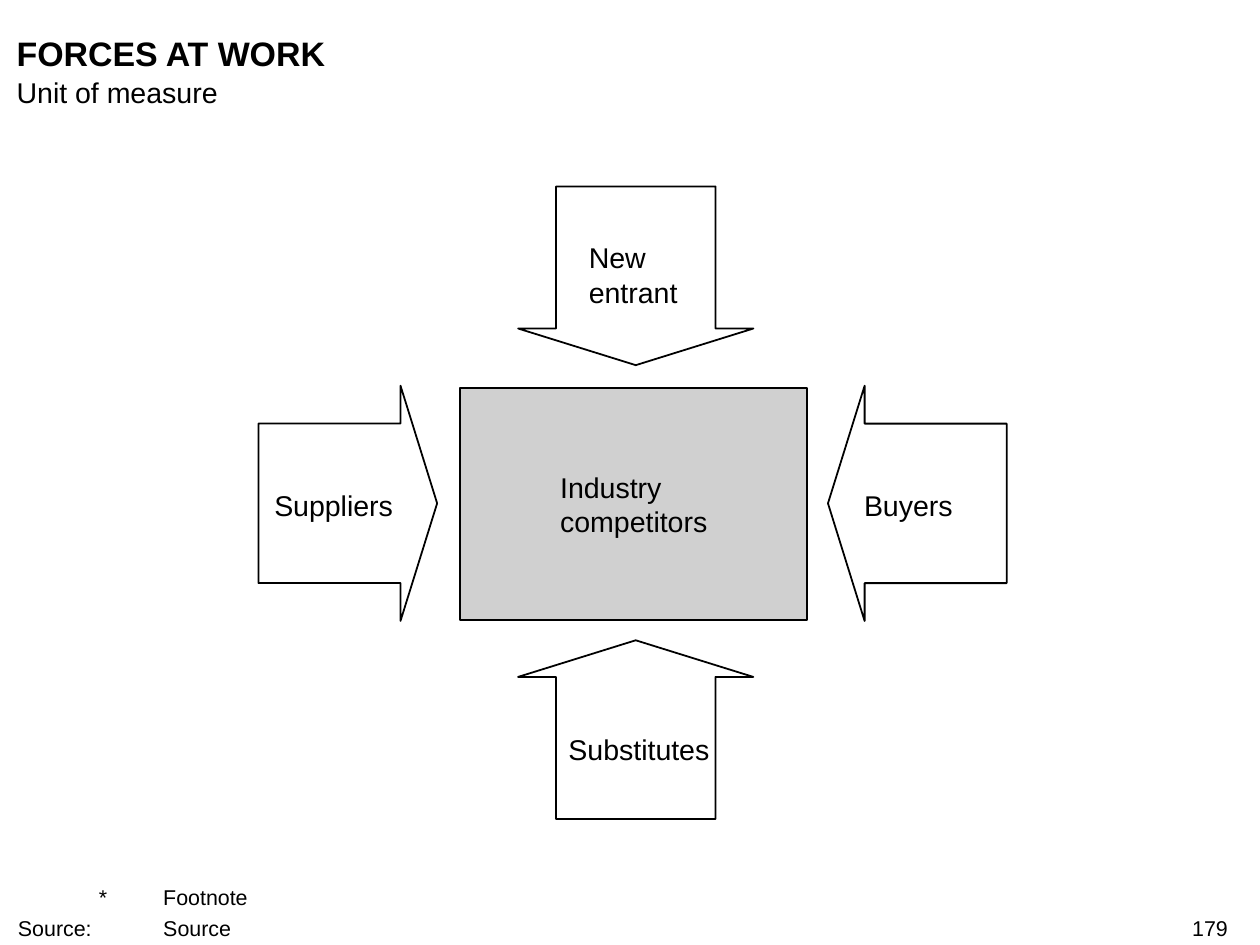
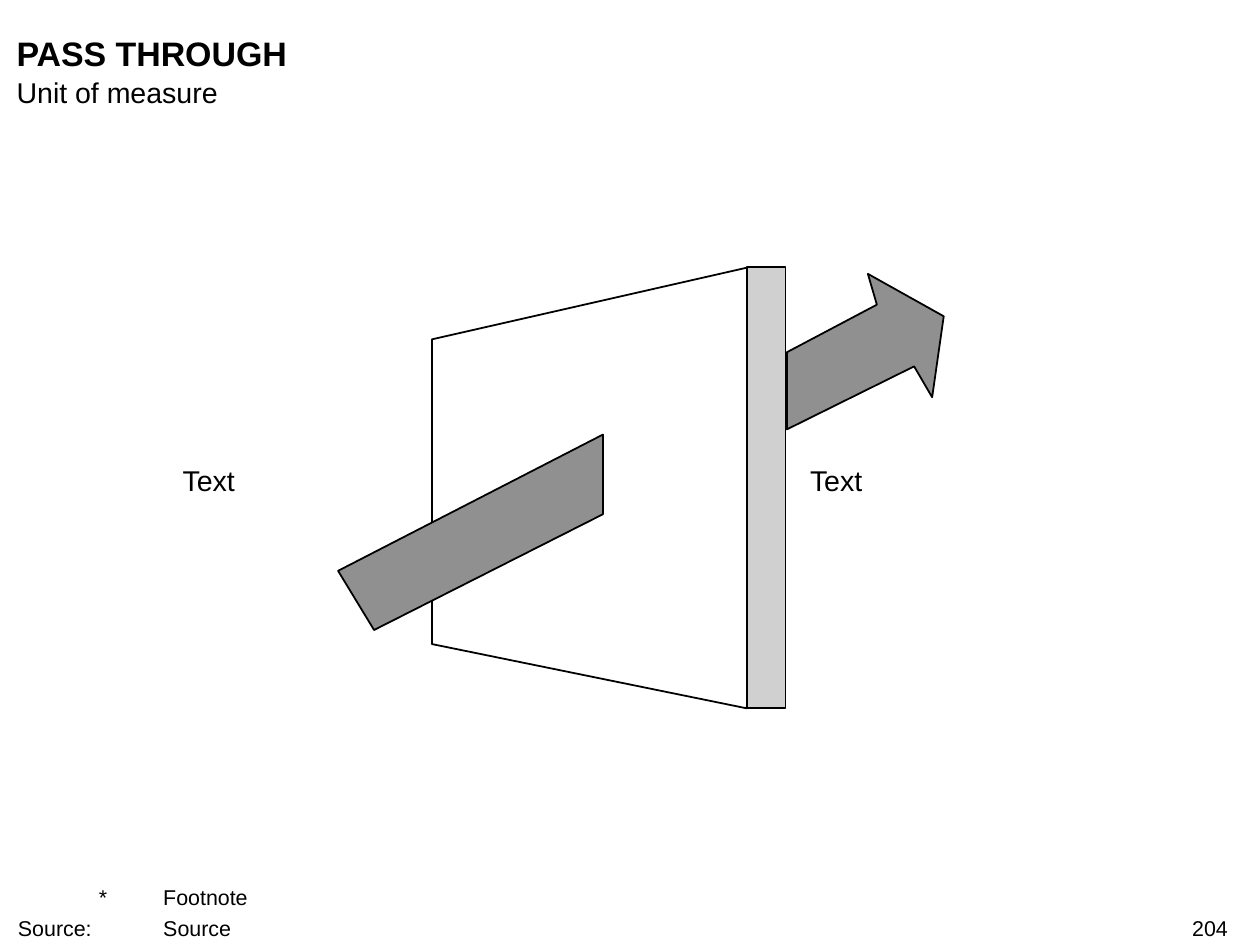
import pptx
import pptx.util
import pptx.dml.color
import pptx.enum.shapes
import pptx.enum.text
import pptx.oxml.ns
import lxml.etree

Inches = pptx.util.Inches
Pt = pptx.util.Pt
RGBColor = pptx.dml.color.RGBColor
Shape = pptx.enum.shapes.MSO_SHAPE
Anchor = pptx.enum.text.MSO_ANCHOR
Align = pptx.enum.text.PP_ALIGN
qn = pptx.oxml.ns.qn

BLACK = RGBColor(0x00, 0x00, 0x00)
WHITE = RGBColor(0xFF, 0xFF, 0xFF)
LIGHT = RGBColor(0xD0, 0xD0, 0xD0)
DARK = RGBColor(0x90, 0x90, 0x90)


class Deck:
    font = "Arial"
    body = 16
    small = 12

    def __init__(self):
        self.file = pptx.Presentation()
        self.file.slide_width = Inches(9.8)
        self.file.slide_height = Inches(7.35)
        self.slide = None

    def page(self, title, number):
        self.slide = self.file.slides.add_slide(self.file.slide_layouts[6])
        self.text(title, 0.13, 0.25, 9.43, 0.32, size=19, bold=True)
        self.text("Unit of measure", 0.13, 0.58, 9.43, 0.27)
        self.notes()
        self.text(number, 7.51, 7.12, 2.04, 0.2, size=self.small, align=Align.RIGHT)

    def notes(self):
        box = self.text("\t*\tFootnote\nSource:\t\tSource", 0.14, 6.88, 8.93, 0.44,
                        size=self.small, anchor=Anchor.BOTTOM)
        lines = box.text_frame.paragraphs
        lines[1].space_before = Pt(3)
        for line in lines:
            props = line._p.get_or_add_pPr()
            props.set("marL", str(Inches(0.63)))
            props.set("indent", str(Inches(-0.63)))
            tabs = lxml.etree.Element(qn("a:tabLst"))
            for place, side in ((0, "l"), (0.58, "r"), (0.98, "l"), (1.96, "l")):
                lxml.etree.SubElement(tabs, qn("a:tab"), pos=str(Inches(place)), algn=side)
            props.find(qn("a:defRPr")).addprevious(tabs)

    def words(self, shape, words, size, bold=False, align=Align.LEFT):
        shape.text_frame.word_wrap = True
        shape.text_frame.text = words
        for line in shape.text_frame.paragraphs:
            line.alignment = align
            line.font.name = self.font
            line.font.size = Pt(size)
            line.font.bold = bold
            line.font.color.rgb = BLACK

    def text(self, words, left, top, width, height, size=body, bold=False,
             align=Align.LEFT, anchor=Anchor.TOP):
        box = self.slide.shapes.add_textbox(*map(Inches, (left, top, width, height)))
        frame = box.text_frame
        frame.margin_left = frame.margin_right = frame.margin_top = frame.margin_bottom = 0
        frame.vertical_anchor = anchor
        self.words(box, words, size, bold, align)
        return box

    def centre(self, shape):
        shape.text_frame.vertical_anchor = Anchor.MIDDLE
        shape.text_frame._txBody.find(qn("a:bodyPr")).set("anchorCtr", "1")

    def label(self, words, left, top, width, height):
        self.centre(self.text(words, left, top, width, height))

    def paint(self, shape, fill):
        shape.shadow.inherit = False
        shape.fill.solid()
        shape.fill.fore_color.rgb = fill
        shape.line.color.rgb = BLACK
        shape.line.width = Pt(1)

    def rect(self, left, top, width, height, fill, words=""):
        box = self.slide.shapes.add_shape(
            Shape.RECTANGLE, *map(Inches, (left, top, width, height)))
        self.paint(box, fill)
        if words:
            self.words(box, words, self.body)
            self.centre(box)

    def arrow(self, left, top, turn):
        arrow = self.slide.shapes.add_shape(
            Shape.RIGHT_ARROW, *map(Inches, (left, top, 1.39, 1.83)))
        arrow.adjustments[0] = 0.678
        arrow.adjustments[1] = 0.205
        arrow.rotation = turn
        self.paint(arrow, WHITE)

    def outline(self, points, fill):
        first, *rest = [(Inches(x), Inches(y)) for x, y in points]
        pen = self.slide.shapes.build_freeform(*first, scale=1.0)
        pen.add_line_segments(rest, close=True)
        self.paint(pen.convert_to_shape(), fill)


def forces(deck):
    deck.page("FORCES AT WORK", "179")
    for left, top, turn in ((6.44, 3, 180), (2.01, 3, 0), (4.25, 1.23, 90), (4.25, 4.76, 270)):
        deck.arrow(left, top, turn)
    deck.rect(3.58, 3.02, 2.7, 1.8, LIGHT, "Industry\ncompetitors")
    deck.label("New entrant", 4.44, 1.87, 0.97, 0.53)
    deck.label("Suppliers", 2.05, 3.79, 1.09, 0.27)
    deck.label("Buyers", 6.52, 3.79, 1.09, 0.27)
    deck.label("Substitutes", 4.38, 5.69, 1.18, 0.27)


def through(deck):
    deck.page("PASS THROUGH", "204")
    head = [(6.12, 2.74), (6.82, 2.37), (6.75, 2.13), (7.34, 2.46),
            (7.25, 3.09), (7.11, 2.85), (6.12, 3.34)]
    wall = [(3.36, 2.64), (5.82, 2.08), (5.81, 5.51), (3.36, 5.01)]
    tail = [(2.63, 4.44), (4.69, 3.38), (4.69, 4), (2.91, 4.9)]
    deck.outline(head, DARK)
    deck.outline(wall, WHITE)
    deck.rect(5.81, 2.08, 0.3, 3.43, LIGHT)
    deck.outline(tail, DARK)
    deck.text("Text", 1.42, 3.6, 1.48, 0.27)
    deck.text("Text", 6.3, 3.6, 2.31, 0.27)


def main():
    deck = Deck()
    forces(deck)
    through(deck)
    deck.file.save("out.pptx")


if __name__ == "__main__":
    main()
